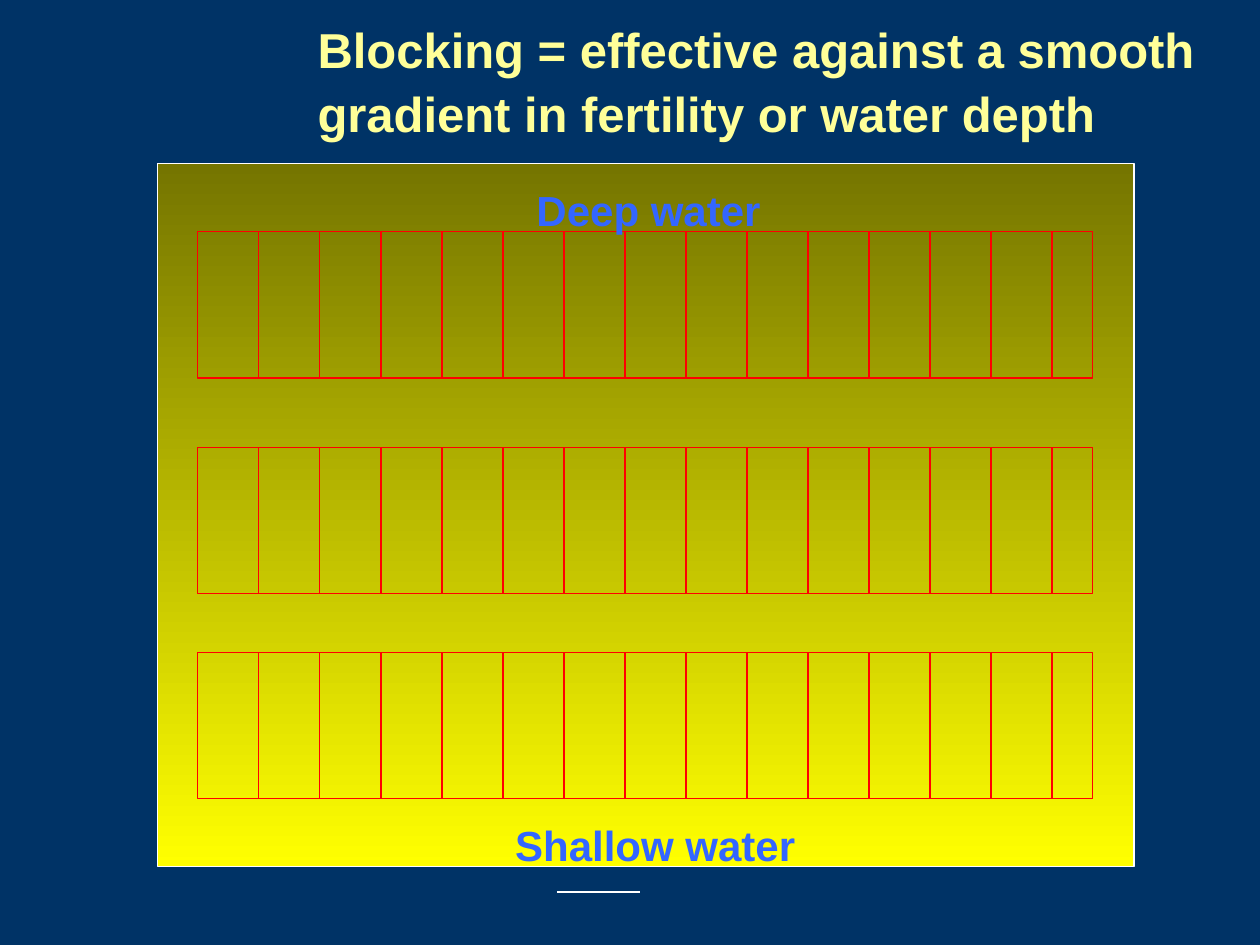
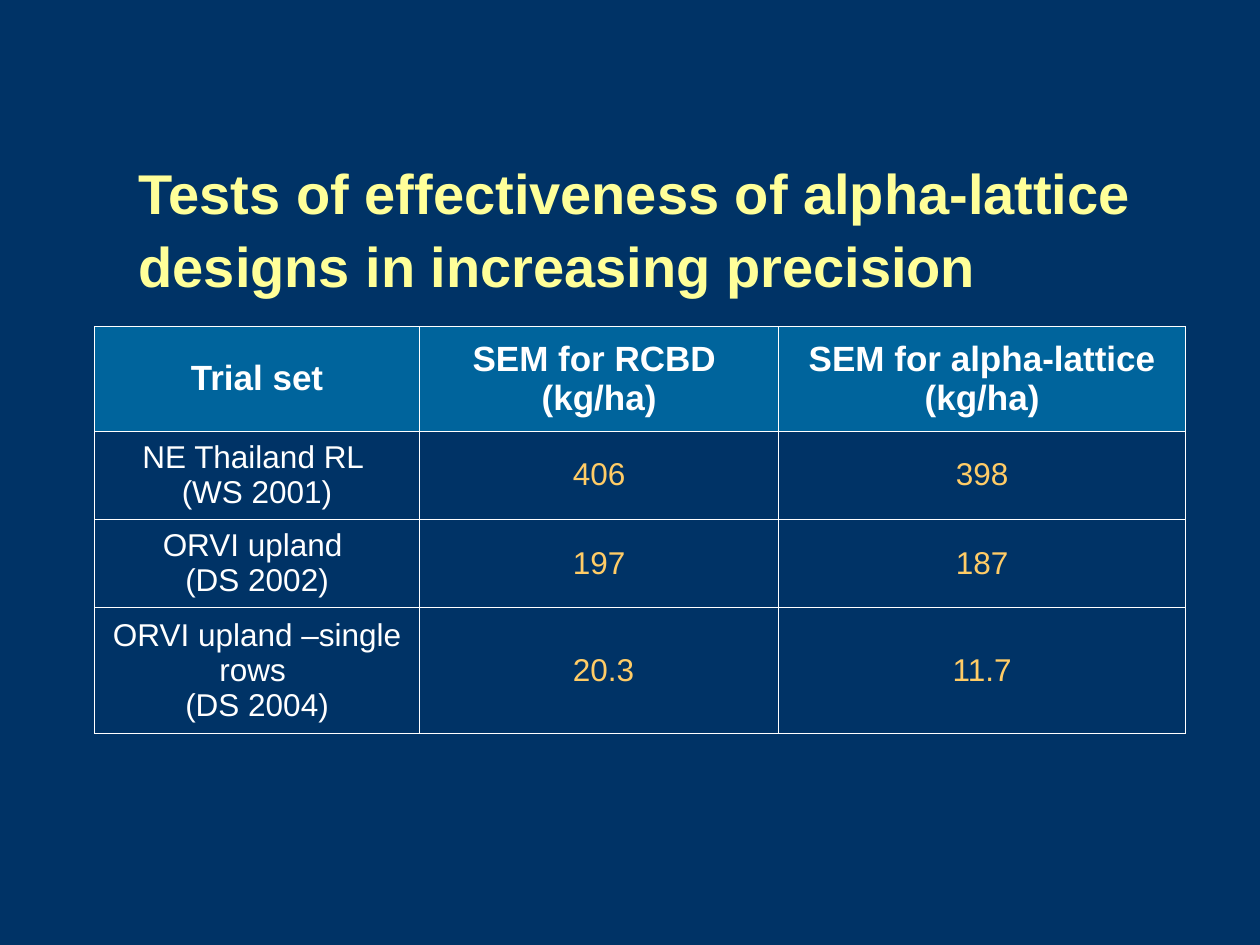
"""Build two slides on blocking and alpha-lattice designs in field trials."""
import pptx
import pptx.dml.color
import pptx.enum.shapes
import pptx.enum.text
import pptx.oxml
import pptx.oxml.ns
import pptx.util

Inches = pptx.util.Inches
Pt = pptx.util.Pt
RGBColor = pptx.dml.color.RGBColor
Align = pptx.enum.text.PP_ALIGN
Anchor = pptx.enum.text.MSO_ANCHOR

NAVY = RGBColor(0x00, 0x33, 0x66)
WHITE = RGBColor(0xFF, 0xFF, 0xFF)
PALE_YELLOW = RGBColor(0xFF, 0xFF, 0x99)
OLIVE = RGBColor(0x75, 0x75, 0x00)
YELLOW = RGBColor(0xFF, 0xFF, 0x00)
RED = RGBColor(0xFF, 0x00, 0x00)
BLUE = RGBColor(0x33, 0x66, 0xFF)
HEADER_BLUE = RGBColor(0x00, 0x64, 0x9C)
ORANGE = RGBColor(0xFF, 0xCC, 0x66)

FONT = "Arial"
LINE_WIDTH = Pt(0.75)
BORDER_WIDTH = Pt(0.45)
LINE_SPACING = 1.08


class Deck:
    def __init__(self):
        self.prs = pptx.Presentation()
        self.prs.slide_width = Inches(10)
        self.prs.slide_height = Inches(7.5)
        fill = self.prs.slide_master.background.fill
        fill.solid()
        fill.fore_color.rgb = NAVY
        self.s = None

    def slide(self, title, box, size):
        self.s = self.prs.slides.add_slide(self.prs.slide_layouts[5])
        sp = self.s.shapes.title
        sp.left, sp.top, sp.width, sp.height = map(Inches, box)
        tf = sp.text_frame
        tf.text = title
        tf.auto_size = pptx.enum.text.MSO_AUTO_SIZE.NONE
        tf.vertical_anchor = Anchor.MIDDLE
        self.format(tf, size, PALE_YELLOW, True, Align.LEFT, LINE_SPACING)

    def format(self, tf, size, color, bold, align, spacing=None):
        for p in tf.paragraphs:
            p.alignment = align
            p.line_spacing = spacing
            p.font.name = FONT
            p.font.size = Pt(size)
            p.font.bold = bold
            p.font.color.rgb = color

    def label(self, text, box):
        tf = self.s.shapes.add_textbox(*map(Inches, box)).text_frame
        tf.word_wrap = True
        tf.text = text
        self.format(tf, 24, BLUE, True, Align.LEFT, LINE_SPACING)

    def line(self, x1, y1, x2, y2, color):
        kind = pptx.enum.shapes.MSO_CONNECTOR.STRAIGHT
        sp = self.s.shapes.add_connector(kind, *map(Inches, (x1, y1, x2, y2)))
        sp.line.color.rgb = color
        sp.line.width = LINE_WIDTH
        sp._element.spPr.append(pptx.oxml.parse_xml(
            f"<a:effectLst {pptx.oxml.ns.nsdecls('a')}/>"))

    def rect(self, box, color, gradient=None):
        kind = pptx.enum.shapes.MSO_SHAPE.RECTANGLE
        sp = self.s.shapes.add_shape(kind, *map(Inches, box))
        sp.shadow.inherit = False
        sp.line.color.rgb = color
        sp.line.width = LINE_WIDTH
        if gradient:
            sp.fill.gradient()
            sp.fill.gradient_angle = 270
            for stop, stop_color in zip(sp.fill.gradient_stops, gradient):
                stop.color.rgb = stop_color
        else:
            sp.fill.background()

    def borders(self, cell):
        tcPr = cell._tc.get_or_add_tcPr()
        for i, side in enumerate("LRTB"):
            tcPr.insert(i, pptx.oxml.parse_xml(
                f'<a:ln{side} {pptx.oxml.ns.nsdecls("a")} w="{BORDER_WIDTH}">'
                f'<a:solidFill><a:srgbClr val="{WHITE}"/></a:solidFill></a:ln{side}>'))

    def table(self, rows, box, widths, heights):
        table = self.s.shapes.add_table(
            len(rows), len(widths), *map(Inches, box)).table
        table.first_row = table.horz_banding = False
        for column, width in zip(table.columns, widths):
            column.width = Inches(width)
        for row, height in zip(table.rows, heights):
            row.height = Inches(height)
        for r, texts in enumerate(rows):
            for c, text in enumerate(texts):
                cell = table.cell(r, c)
                cell.text = text
                cell.vertical_anchor = Anchor.MIDDLE
                if r == 0:
                    cell.fill.solid()
                    cell.fill.fore_color.rgb = HEADER_BLUE
                else:
                    cell.fill.background()
                color = ORANGE if r and c else WHITE
                size = 18 if r else 20
                self.format(cell.text_frame, size, color, r == 0, Align.CENTER)
                self.borders(cell)


def blocking_slide(deck):
    deck.slide("Blocking = effective against a smooth gradient in fertility or water depth",
               (2.42, 0.25, 7.25, 0.75), 28)
    deck.line(4.42, 7.08, 5.08, 7.08, WHITE)
    deck.rect((1.25, 1.3, 7.75, 5.58), WHITE, (OLIVE, YELLOW))
    left, width, height, dividers = 1.57, 7.1, 1.16, 14
    plot_width = (8.35 - left) / dividers
    for top in (1.84, 3.55, 5.18):
        deck.rect((left, top, width, height), RED)
        for i in range(1, dividers + 1):
            x = left + i * plot_width
            deck.line(x, top, x, top + height, RED)
    deck.label("Shallow water", (3.99, 6.42, 3.15, 0.5))
    deck.label("Deep water", (4.16, 1.38, 2.83, 0.5))


def precision_slide(deck):
    deck.slide("Tests of effectiveness of alpha-lattice designs in increasing precision",
               (1, 1.17, 8.42, 1.25), 32)
    rows = [
        ("Trial set", "SEM for RCBD \n(kg/ha)", "SEM for alpha-lattice (kg/ha)"),
        ("NE Thailand RL \n(WS 2001)", "406", "398"),
        ("ORVI upland \n(DS 2002)", "197", "187"),
        ("ORVI upland –single rows \n(DS 2004)", " 20.3", "11.7"),
    ]
    deck.table(rows, (0.75, 2.59, 8.67, 3.24),
               (2.58, 2.85, 3.23), (0.83, 0.7, 0.7, 1))


def main():
    deck = Deck()
    blocking_slide(deck)
    precision_slide(deck)
    deck.prs.save("out.pptx")


if __name__ == "__main__":
    main()
